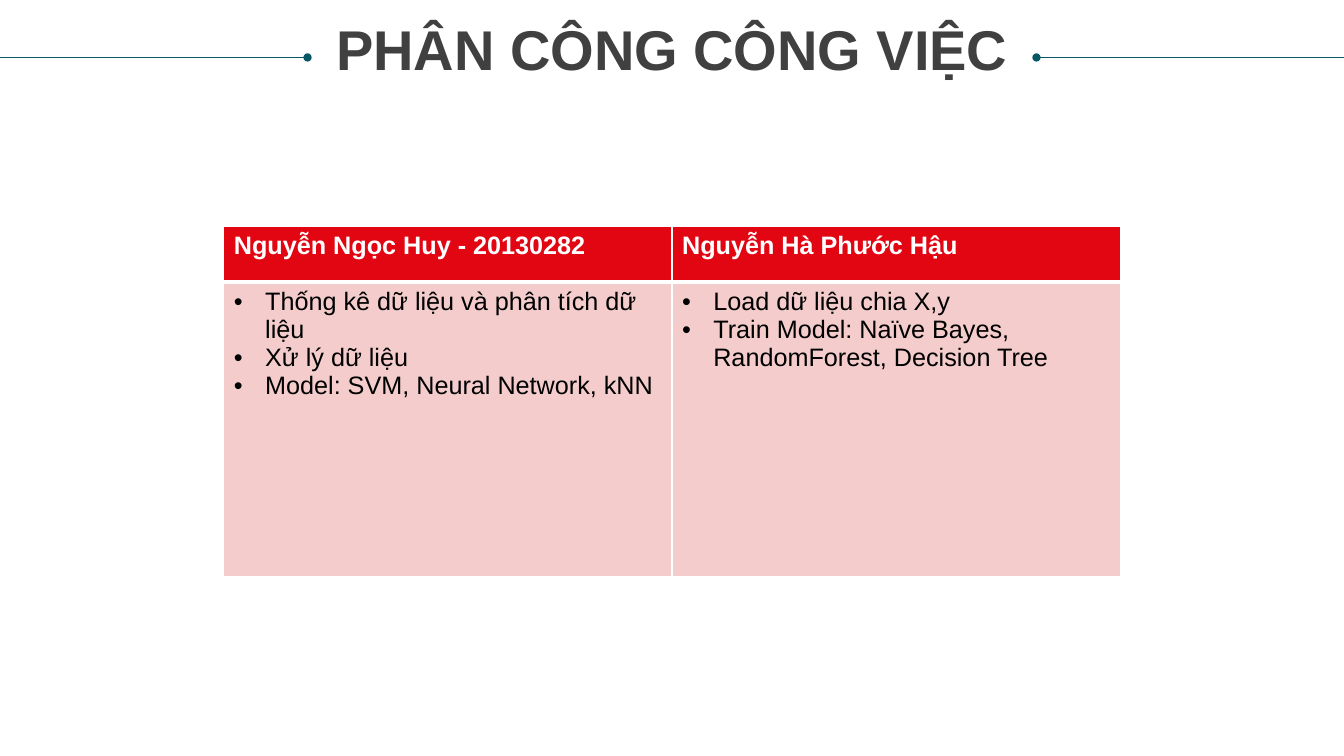
from lxml import etree
from pptx import Presentation
from pptx.dml.color import RGBColor
from pptx.enum.shapes import MSO_CONNECTOR
from pptx.enum.text import MSO_ANCHOR, PP_ALIGN
from pptx.oxml.ns import qn
from pptx.util import Inches, Pt

STRAIGHT = MSO_CONNECTOR.STRAIGHT
MIDDLE = MSO_ANCHOR.MIDDLE
CENTER = PP_ALIGN.CENTER

FONT = "Arial"
COLORS = {
    "title": "404040",
    "rule": "085764",
    "head": "E20613",
    "body": "F4CCCC",
    "white": "FFFFFF",
    "black": "000000",
}
WIDE, HIGH = 13.33, 7.5
TASKS = {
    "Nguyễn Ngọc Huy - 20130282": [
        "Thống kê dữ liệu và phân tích dữ liệu",
        "Xử lý dữ liệu",
        "Model: SVM, Neural Network, kNN",
    ],
    "Nguyễn Hà Phước Hậu": [
        "Load dữ liệu chia X,y",
        "Train Model: Naïve Bayes, RandomForest, Decision Tree",
    ],
}


def color(name):
    return RGBColor.from_string(COLORS[name])


def add_run(para, text, size, name, bold=False):
    run = para.add_run()
    run.text = text
    run.font.name = FONT
    run.font.size = Pt(size)
    run.font.bold = bold
    run.font.color.rgb = color(name)


def add_title(slide, text, left, top, width, height):
    title = slide.shapes.title
    title.left, title.top = Inches(left), Inches(top)
    title.width, title.height = Inches(width), Inches(height)
    frame = title.text_frame
    frame.margin_left = frame.margin_right = 0
    frame.margin_top = frame.margin_bottom = 0
    frame.vertical_anchor = MIDDLE
    para = frame.paragraphs[0]
    para.alignment = CENTER
    para.line_spacing = 0.9
    para.space_before = Pt(0)
    add_run(para, text, 40, "title", True)


def add_rule(slide, start, end, y):
    """Draw a level line with a dot at its end."""
    rule = slide.shapes.add_connector(
        STRAIGHT, Inches(start), Inches(y), Inches(end), Inches(y))
    rule.line.color.rgb = color("rule")
    rule.line.width = Pt(0.5)
    etree.SubElement(rule.line._get_or_add_ln(), qn("a:tailEnd"), type="oval")
    etree.SubElement(rule._element.spPr, qn("a:effectLst"))


def style_cell(cell, fill, top, bottom):
    """Set white borders, widths in points, then the fill."""
    props = cell._tc.get_or_add_tcPr()
    for side, width in (("L", 1), ("R", 1), ("T", top), ("B", bottom)):
        edge = etree.SubElement(props, qn("a:ln" + side), w=str(Pt(width)))
        paint = etree.SubElement(edge, qn("a:solidFill"))
        etree.SubElement(paint, qn("a:srgbClr"), val=COLORS["white"])
    cell.fill.solid()
    cell.fill.fore_color.rgb = color(fill)


def add_bullet(para):
    props = para._p.get_or_add_pPr()
    indent = Inches(0.31)
    props.set("marL", str(indent))
    props.set("indent", str(-indent))
    etree.SubElement(props, qn("a:buFont"), typeface=FONT)
    etree.SubElement(props, qn("a:buChar"), char="•")


def add_tasks(slide, left, top, width, height):
    frame = slide.shapes.add_table(
        2, len(TASKS), Inches(left), Inches(top), Inches(width), Inches(height))
    table = frame.table
    head = 0.55
    table.rows[0].height = Inches(head)
    table.rows[1].height = Inches(height - head)
    for col, (name, jobs) in enumerate(TASKS.items()):
        # Person
        cell = table.cell(0, col)
        style_cell(cell, "head", 1, 3)
        add_run(cell.text_frame.paragraphs[0], name, 18, "white", True)
        # Jobs
        cell = table.cell(1, col)
        style_cell(cell, "body", 3, 1)
        text = cell.text_frame
        for row, job in enumerate(jobs):
            para = text.add_paragraph() if row else text.paragraphs[0]
            add_bullet(para)
            add_run(para, job, 18, "black")


def main():
    deck = Presentation()
    deck.slide_width, deck.slide_height = Inches(WIDE), Inches(HIGH)
    slide = deck.slides.add_slide(deck.slide_layouts[5])

    # Heading between two rules
    add_title(slide, "PHÂN CÔNG CÔNG VIỆC", 0.25, 0.21, WIDE - 0.5, 0.61)
    add_rule(slide, 0, 3.05, 0.57)
    add_rule(slide, WIDE, WIDE - 3.05, 0.57)

    # Task table
    add_tasks(slide, 2.22, 2.25, 8.89, 3.47)
    deck.save("out.pptx")


if __name__ == "__main__":
    main()
